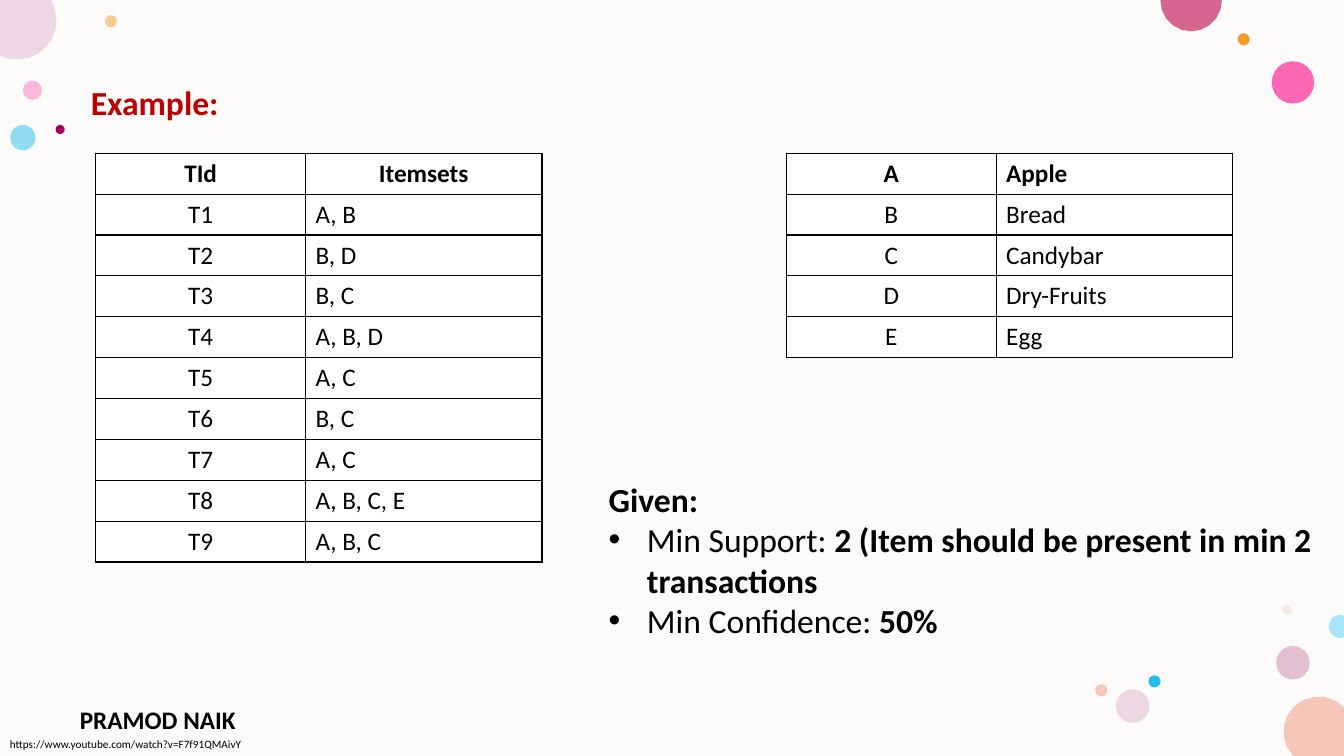
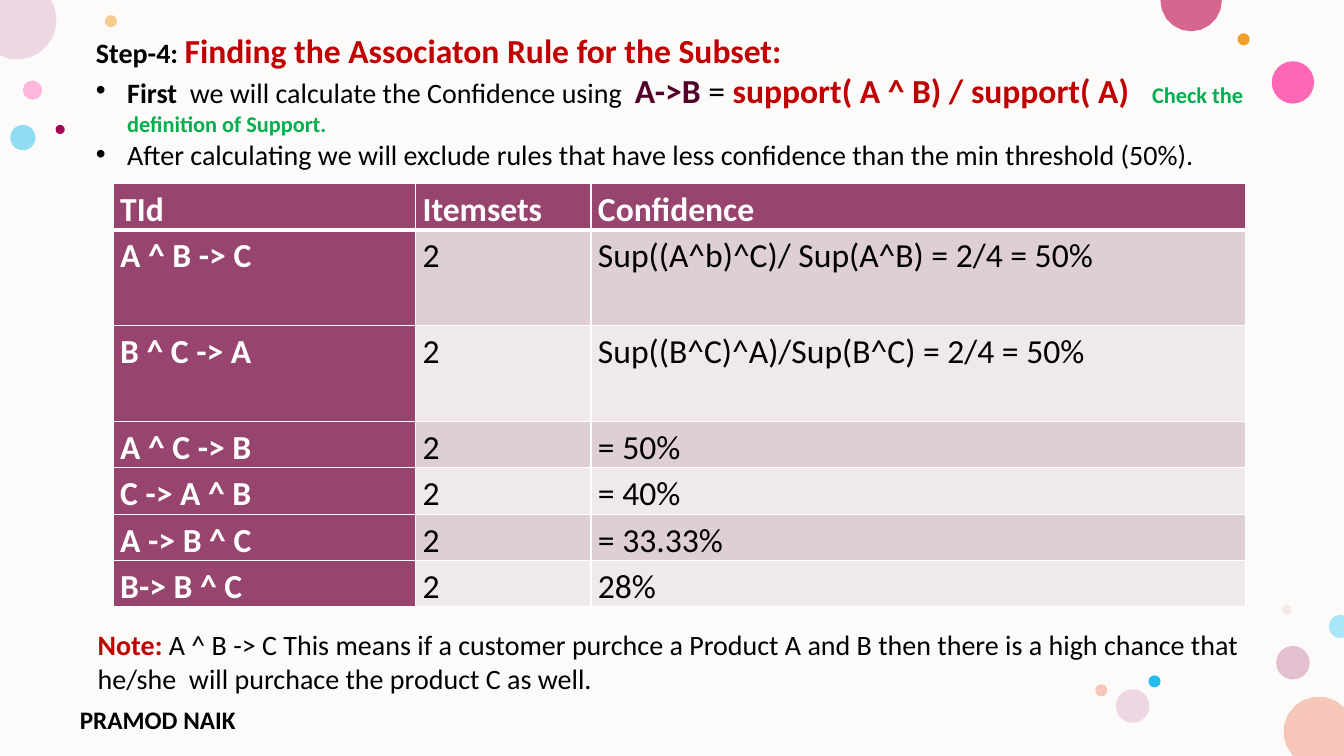
import math

from lxml import etree
from pptx import Presentation
from pptx import util as u
from pptx.dml.color import RGBColor
from pptx.enum import shapes, text
from pptx.oxml.ns import qn

W, H = 13.33, 7.5
FONT = "Calibri"
BLACK, WHITE, RED = "000000", "FFFFFF", "C00000"
PAPER, PLUM, GREEN, WINE = "FDFBF9", "97446E", "00B050", "52002B"
BANDS = ("EFE9EB", "DDCFD5")

DOTS = [
    (2.42, 11.93, 1.43, "FF75BD", 50),
    (8.25, 2.8, 0.9, "F39E29", 50),
    (96.2, 87.67, 2.5, "C987A8", 50),
    (1.7, 18.2, 1.88, "24BEEE", 50),
    (96.2, 10.9, 3.15, "FF2F9C", 72),
    (92.53, 5.2, 0.9, "F39E29", 100),
    (95.77, 80.67, 0.75, "E3BEBE", 28),
    (85.9, 90.13, 0.9, "24BEEE", 100),
    (84.28, 93.4, 2.5, "EDD7E2", 100),
    (81.94, 91.33, 0.9, "F6C7B9", 100),
    (4.48, 17.13, 0.68, "A40056", 100),
]
CUT_DOTS = [
    (98.12, 96.8, 5.25, "F6C7B9", 137, 316, [(100, 100)]),
    (1.28, 2.67, 5.85, "EDD7E2", -31, 116, [(0, 0)]),
    (88.63, 0.07, 4.58, "D6658F", -1, 181, []),
    (99.74, 82.87, 1.73, "A7E5F8", 72, 288, []),
]
ARC_STEPS = 10

TRANSACTIONS = [
    ("TId", "Itemsets"), ("T1", "A, B"), ("T2", "B, D"), ("T3", "B, C"),
    ("T4", "A, B, D"), ("T5", "A, C"), ("T6", "B, C"), ("T7", "A, C"),
    ("T8", "A, B, C, E"), ("T9", "A, B, C"),
]
ITEMS = [("A", "Apple"), ("B", "Bread"), ("C", "Candybar"),
         ("D", "Dry-Fruits"), ("E", "Egg")]
RULES = [
    ("TId", "Itemsets", "Confidence"),
    ("A ^ B -> C", "2", "Sup((A^b)^C)/ Sup(A^B) = 2/4 = 50%"),
    ("B ^ C -> A", "2", "Sup((B^C)^A)/Sup(B^C) = 2/4 = 50%"),
    ("A ^ C -> B", "2", "= 50%"),
    ("C -> A ^ B", "2", "= 40%"),
    ("A -> B ^ C", "2", "= 33.33%"),
    ("B-> B ^ C", "2", "28%"),
]


def x(share):
    return u.Inches(W * share / 100)


def y(share):
    return u.Inches(H * share / 100)


def rgb(color):
    return RGBColor.from_string(color)


def paint(fill, color):
    fill.solid()
    fill.fore_color.rgb = rgb(color)


def flat(sp, color):
    sp.shadow.inherit = False
    sp.line.fill.background()
    paint(sp.fill, color)


def add_run(p, words, size=18, color=BLACK, bold=False):
    r = p.add_run()
    r.text = words
    r.font.name = FONT
    r.font.size = u.Pt(size)
    r.font.bold = bold
    r.font.color.rgb = rgb(color)


def bullet(p, indent):
    pPr = p._p.get_or_add_pPr()
    pPr.set("marL", str(u.Inches(indent)))
    pPr.set("indent", str(-u.Inches(indent)))
    etree.SubElement(pPr, qn("a:buFont"), typeface="Arial")
    etree.SubElement(pPr, qn("a:buChar"), char="•")


def textbox(s, left, top, width, height, paragraphs, indent=0):
    tf = s.shapes.add_textbox(x(left), y(top), x(width), y(height)).text_frame
    tf.word_wrap = True
    tf.auto_size = text.MSO_AUTO_SIZE.SHAPE_TO_FIT_TEXT
    for i, runs in enumerate(paragraphs):
        p = tf.add_paragraph() if i else tf.paragraphs[0]
        if i and indent:
            bullet(p, indent)
        for words, fmt in runs:
            add_run(p, words, **fmt)


def dot(s, cx, cy, size, color, opacity):
    diameter = x(size)
    sp = s.shapes.add_shape(shapes.MSO_SHAPE.OVAL, x(cx) - diameter // 2,
                            y(cy) - diameter // 2, diameter, diameter)
    flat(sp, color)
    if opacity < 100:
        clr = sp._element.spPr.find(".//" + qn("a:srgbClr"))
        etree.SubElement(clr, qn("a:alpha"), val=str(opacity * 1000))


def cut_dot(s, cx, cy, size, color, start, end, corners):
    radius = x(size) / 2
    angles = [math.radians(start + (end - start) * i / ARC_STEPS)
              for i in range(ARC_STEPS + 1)]
    points = [(min(max(round(x(cx) + radius * math.cos(a)), 0), x(100)),
               min(max(round(y(cy) + radius * math.sin(a)), 0), y(100)))
              for a in angles]
    points += [(x(px), y(py)) for px, py in corners]
    builder = s.shapes.build_freeform(*points[0])
    builder.add_line_segments(points[1:], close=True)
    flat(builder.convert_to_shape(), color)


def border(cell, color, top=1, bottom=1):
    tcPr = cell._tc.get_or_add_tcPr()
    for side, width in (("L", 1), ("R", 1), ("T", top), ("B", bottom)):
        ln = etree.SubElement(tcPr, qn("a:ln" + side), w=str(u.Pt(width)))
        fill = etree.SubElement(ln, qn("a:solidFill"))
        etree.SubElement(fill, qn("a:srgbClr"), val=color)


def table(s, left, top, cols, rows, data, style):
    frame = s.shapes.add_table(len(rows), len(cols), x(left), y(top),
                               x(sum(cols)), y(sum(rows)))
    tbl = frame.table
    tbl.horz_banding = False
    for col, width in zip(tbl.columns, cols):
        col.width = x(width)
    for row, height in zip(tbl.rows, rows):
        row.height = y(height)
    for i, values in enumerate(data):
        for j, words in enumerate(values):
            style(tbl.cell(i, j), i, j, words)


def grid_cell(cell, i, j, words):
    border(cell, BLACK)
    paint(cell.fill, WHITE)
    p = cell.text_frame.paragraphs[0]
    if j == 0 or words == "Itemsets":
        p.alignment = text.PP_ALIGN.CENTER
    add_run(p, words, bold=i == 0)


def rule_cell(cell, i, j, words):
    heading = i == 0 or j == 0
    border(cell, WHITE, top=3 if i == 1 else 1, bottom=3 if i == 0 else 1)
    paint(cell.fill, PLUM if heading else BANDS[i % 2])
    cell.margin_left = cell.margin_right = u.Inches(0.07)
    cell.margin_top = cell.margin_bottom = 0
    p = cell.text_frame.paragraphs[0]
    p.line_spacing = 1.15
    p.space_after = u.Pt(8)
    add_run(p, words, size=24, color=WHITE if heading else BLACK, bold=heading)


def new_slide(prs):
    s = prs.slides.add_slide(prs.slide_layouts[6])
    flat(s.shapes.add_shape(shapes.MSO_SHAPE.RECTANGLE, 0, 0, x(100), y(100)), PAPER)
    for spot in DOTS:
        dot(s, *spot)
    for spot in CUT_DOTS:
        cut_dot(s, *spot)
    textbox(s, 5.2, 92.5, 18.4, 4.3, [[("PRAMOD NAIK", dict(bold=True))]])
    return s


def example_slide(prs):
    s = new_slide(prs)
    plain, strong = dict(size=24), dict(size=24, bold=True)
    textbox(s, 6.02, 10.13, 87.3, 6.67, [[("Example:", dict(strong, color=RED))]])
    for left, data in ((7.13, TRANSACTIONS), (58.52, ITEMS)):
        table(s, left, 20.27, (15.6, 17.6), [5.41] * len(data), data, grid_cell)
    textbox(s, 44.55, 62.7, 55.45, 22.93, [
        [("Given:", strong)],
        [("Min Support: ", plain),
         ("2 (Item should be present in min 2 transactions", strong)],
        [("Min Confidence: ", plain), ("50%", strong)],
    ], indent=0.38)
    textbox(s, 0, 96.85, 50, 3.15,
            [[("https://www.youtube.com/watch?v=F7f91QMAivY", dict(size=8))]])


def rules_slide(prs):
    s = new_slide(prs)
    plain, strong = dict(size=20), dict(size=20, bold=True)
    large = dict(size=24, bold=True)
    textbox(s, 6.4, 3.28, 93.6, 20.13, [
        [("Step-4: ", strong),
         ("Finding the Associaton Rule for the Subset:", dict(large, color=RED))],
        [("First ", strong),
         (" we will calculate the Confidence using  ", plain),
         ("A->B ", dict(large, color=WINE)),
         ("= ", dict(size=24)),
         ("support( A ^ B) / support( A)   ", dict(large, color=RED)),
         ("Check the definition of Support.", dict(size=16, bold=True, color=GREEN))],
        [("After calculating we will exclude rules that have less confidence "
          "than the min threshold (50%).", plain)],
    ], indent=0.31)
    textbox(s, 6.53, 82.4, 88, 10.27, [
        [("Note: ", dict(strong, color=RED)),
         ("A ^ B -> C This means if a customer purchce a Product A and B then "
          "there is a high chance that he/she  will purchace the product C as well.",
          plain)],
    ])
    heights = [12.67 if i in (1, 2) else 6.13 for i in range(len(RULES))]
    table(s, 8.42, 24.27, (22.5, 13.05, 48.68), heights, RULES, rule_cell)


def main():
    prs = Presentation()
    prs.slide_width, prs.slide_height = u.Inches(W), u.Inches(H)
    example_slide(prs)
    rules_slide(prs)
    prs.save("out.pptx")


if __name__ == "__main__":
    main()
